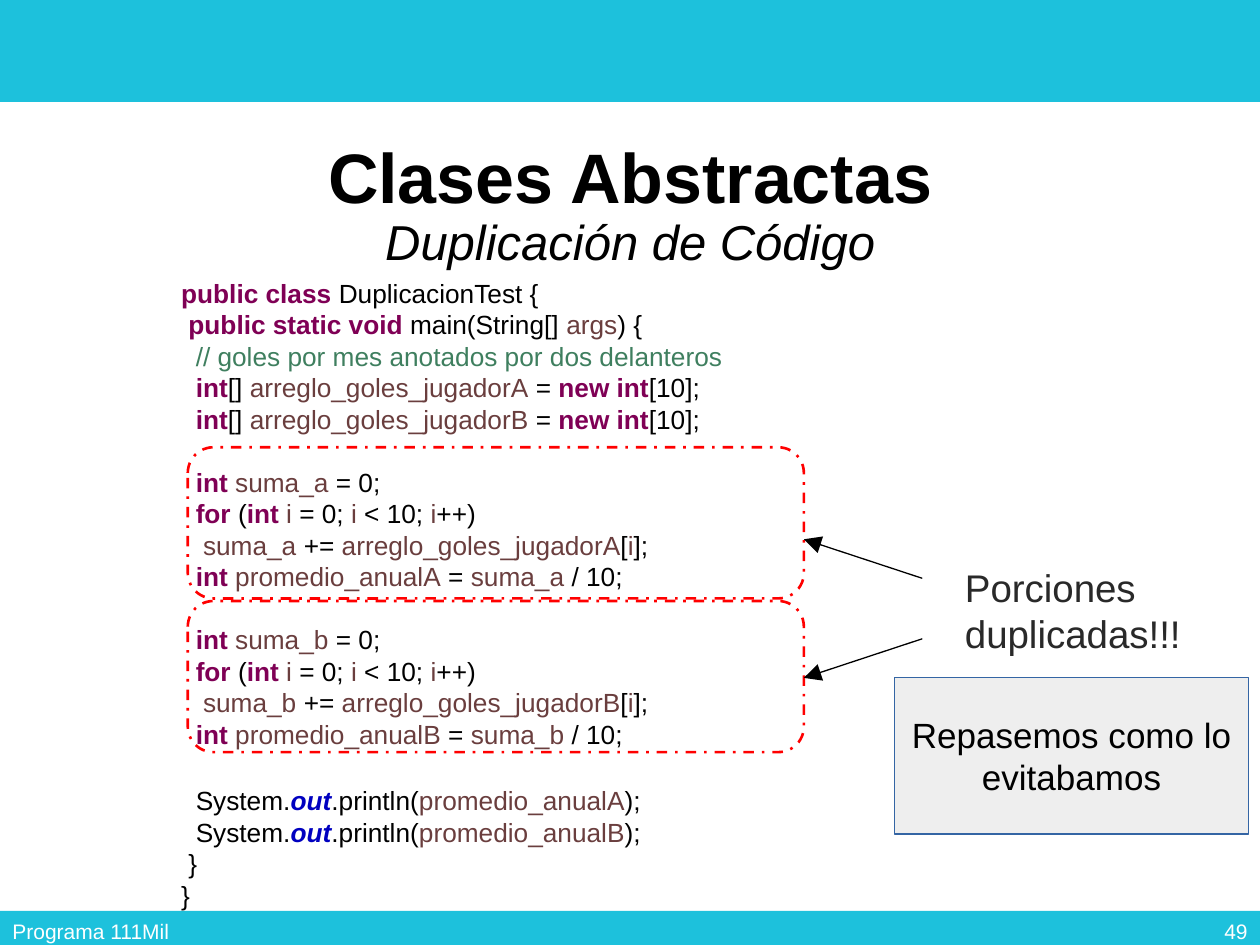
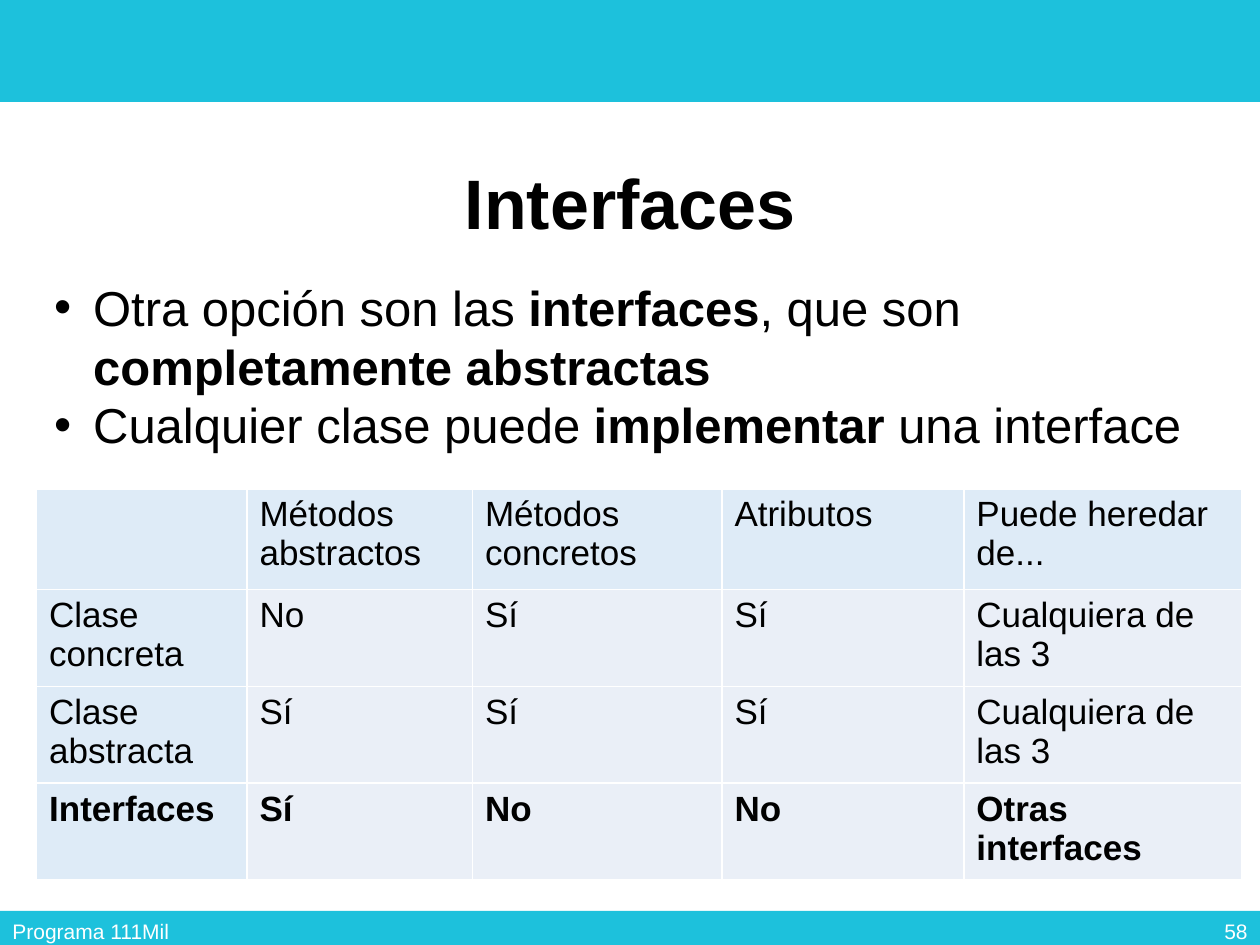
from lxml.etree import SubElement
from pptx import Presentation
from pptx.dml.color import RGBColor
from pptx.enum.dml import MSO_LINE
from pptx.enum.shapes import MSO_CONNECTOR, MSO_SHAPE
from pptx.enum.text import MSO_ANCHOR, MSO_AUTO_SIZE, PP_ALIGN
from pptx.oxml.ns import qn
from pptx.util import Inches, Pt

FONT = "Arial"
CYAN, WHITE, BLACK = "1DC1DC", "FFFFFF", "000000"
RED, GRAPHITE, LIGHT_GRAY, STEEL_BLUE = "FF0000", "292929", "EEEEEE", "3465A4"
HEADER_FILL, CELL_FILL = "DEEBF7", "EAEFF7"

CODE_STYLES = {
    "keyword": {"color": "7F0055", "bold": True},
    "name": {"color": "6A3E3E"},
    "comment": {"color": "3F7F5F"},
    "field": {"color": "0000C0", "bold": True, "italic": True},
    "plain": {"color": BLACK},
}
CODE_MARKS = {"$": "keyword", "@": "name", "#": "comment", "%": "field"}

CODE_OPENING = [
    "$public class |DuplicacionTest {",
    "$ public static void| main(String[] |@args|) {",
    "#  // goles por mes anotados por dos delanteros",
]
CODE_CLOSING = [" }", "}"]

TABLE_ROWS = [
    ["", "Métodos abstractos", "Métodos concretos", "Atributos", "Puede heredar de..."],
    ["Clase\nconcreta", "No", "Sí", "Sí", "Cualquiera de las 3"],
    ["Clase\nabstracta", "Sí", "Sí", "Sí", "Cualquiera de las 3"],
    ["Interfaces", "Sí", "No", "No", "Otras interfaces"],
]
COLUMN_WIDTHS = [1.67, 1.79, 1.98, 1.92, 2.21]
ROW_HEIGHTS = [0.8, 0.75, 0.75, 0.75]


def rgb(hex_color):
    return RGBColor.from_string(hex_color)


def add_span(para, text, size=20, color=BLACK, bold=False, italic=False):
    span = para.add_run()
    span.text = text
    span.font.name = FONT
    span.font.size = Pt(size)
    span.font.bold = bold
    span.font.italic = italic
    span.font.color.rgb = rgb(color)


def next_paragraph(frame, index):
    return frame.add_paragraph() if index else frame.paragraphs[0]


def place(shape, left, top, width, height):
    shape.left, shape.top = Inches(left), Inches(top)
    shape.width, shape.height = Inches(width), Inches(height)


def set_indent(para, left, first=0):
    properties = para._p.get_or_add_pPr()
    properties.set("marL", str(Inches(left)))
    properties.set("indent", str(Inches(first)))
    return properties


def add_box(page, left, top, width, height, anchor=MSO_ANCHOR.TOP):
    box = page.shapes.add_textbox(*map(Inches, (left, top, width, height)))
    box.text_frame.word_wrap = True
    box.text_frame.vertical_anchor = anchor
    return box.text_frame


def add_panel(page, left, top, width, height, fill=None, line=None,
              weight=0.75, kind=MSO_SHAPE.RECTANGLE):
    panel = page.shapes.add_shape(kind, *map(Inches, (left, top, width, height)))
    panel.shadow.inherit = False
    if fill:
        panel.fill.solid()
        panel.fill.fore_color.rgb = rgb(fill)
    else:
        panel.fill.background()
    if line:
        panel.line.color.rgb = rgb(line)
        panel.line.width = Pt(weight)
    else:
        panel.line.fill.background()
    return panel


def add_master_bands(deck, page):
    tree = deck.slide_master.element.cSld.spTree
    for number, (top, height) in enumerate([(0, 0.81), (7.23, 0.27)]):
        band = add_panel(page, 0, top, 10, height, fill=CYAN)
        band.name = f"Band {number + 1}"
        band.element.nvSpPr.cNvPr.set("id", str(100 + number))
        tree.insert(2 + number, band.element)


def add_title(page, title, subtitle=None):
    place(page.shapes.title, 0.69, 0.98, 8.62, 1.33)
    frame = page.shapes.title.text_frame
    frame.auto_size = MSO_AUTO_SIZE.NONE
    frame.vertical_anchor = MSO_ANCHOR.MIDDLE
    para = frame.paragraphs[0]
    para.alignment = PP_ALIGN.CENTER
    para.line_spacing = 0.9
    add_span(para, title, size=40, bold=True)
    if subtitle:
        para.add_line_break()
        add_span(para, subtitle, size=28, italic=True)


def add_footer(page, number):
    for text, left, width, alignment in [
        ("Programa 111Mil", 0, 3.38, PP_ALIGN.LEFT),
        (str(number), 7.75, 2.25, PP_ALIGN.RIGHT),
    ]:
        para = add_box(page, left, 7.19, width, 0.4, MSO_ANCHOR.MIDDLE).paragraphs[0]
        para.alignment = alignment
        add_span(para, text, size=12, color=WHITE)


def array_line(player):
    return f"$  int|[] |@arreglo_goles_jugador{player}| = |$new int|[10];"


def average_lines(player):
    total = f"suma_{player.lower()}"
    return [
        f"$  int |@{total}| = 0;",
        "$  for| (|$int |@i| = 0; |@i| < 10; |@i|++)",
        f"@   {total}| += |@arreglo_goles_jugador{player}|[|@i|];",
        f"$  int |@promedio_anual{player}| = |@{total}| / 10;",
    ]


def print_line(player):
    return f"  System.|%out|.println(|@promedio_anual{player}|);"


def add_code(page, sections):
    frame = add_box(page, 1.34, 2.15, 7.17, 5)
    index = 0
    for gap, lines in sections:
        for position, line in enumerate(lines):
            para = next_paragraph(frame, index)
            para.space_before = Pt(0 if position else gap)
            for piece in line.split("|"):
                style = CODE_MARKS.get(piece[0], "plain")
                text = piece if style == "plain" else piece[1:]
                add_span(para, text, size=15, **CODE_STYLES[style])
            index += 1


def add_arrow(page, start, end):
    arrow = page.shapes.add_connector(MSO_CONNECTOR.STRAIGHT, *map(Inches, start + end))
    arrow.line.color.rgb = rgb(BLACK)
    arrow.line.width = Pt(0.75)
    properties = arrow.element.spPr
    SubElement(properties.find(qn("a:ln")), qn("a:tailEnd"), type="triangle", w="lg", len="lg")
    SubElement(properties, qn("a:effectLst"))


def add_duplicate_frames(page):
    for top in (3.55, 4.77):
        outline = add_panel(page, 1.49, top, 4.89, 1.2, line=RED, weight=1.5,
                            kind=MSO_SHAPE.ROUNDED_RECTANGLE)
        outline.adjustments[0] = 0.17
        outline.line.dash_style = MSO_LINE.DASH_DOT
    add_arrow(page, (7.32, 4.59), (6.38, 4.28))
    add_arrow(page, (7.32, 5.07), (6.38, 5.38))


def add_callouts(page):
    para = add_box(page, 7.32, 4.43, 2.23, 0.84).paragraphs[0]
    set_indent(para, 0.24)
    add_span(para, "Porciones duplicadas!!!", size=22, color=GRAPHITE)

    review = add_panel(page, 7.1, 5.38, 2.81, 1.24, fill=LIGHT_GRAY, line=STEEL_BLUE)
    review.text_frame.word_wrap = True
    para = review.text_frame.paragraphs[0]
    para.alignment = PP_ALIGN.CENTER
    add_span(para, "Repasemos como lo evitabamos")


def add_bullets(page, bullets):
    body = page.placeholders[1]
    place(body, 0.33, 2.15, 9.44, 1.51)
    frame = body.text_frame
    frame.auto_size = MSO_AUTO_SIZE.NONE
    for index, spans in enumerate(bullets):
        para = next_paragraph(frame, index)
        SubElement(set_indent(para, 0.31, -0.31), qn("a:buChar"), char="•")
        para.space_before = Pt(0)
        for text, bold in spans:
            add_span(para, text, size=28, bold=bold)


def format_cell(cell, fill):
    properties = cell._tc.get_or_add_tcPr()
    for side in ("lnL", "lnR", "lnT", "lnB"):
        border = SubElement(properties, qn(f"a:{side}"), w=str(Pt(1)))
        SubElement(SubElement(border, qn("a:solidFill")), qn("a:srgbClr"), val=WHITE)
    cell.fill.solid()
    cell.fill.fore_color.rgb = rgb(fill)


def add_comparison_table(page):
    size = (sum(COLUMN_WIDTHS), sum(ROW_HEIGHTS))
    table = page.shapes.add_table(len(ROW_HEIGHTS), len(COLUMN_WIDTHS),
                                  *map(Inches, (0.29, 3.88) + size)).table
    for column, width in zip(table.columns, COLUMN_WIDTHS):
        column.width = Inches(width)
    for row, height in zip(table.rows, ROW_HEIGHTS):
        row.height = Inches(height)
    for row_index, texts in enumerate(TABLE_ROWS):
        for column_index, text in enumerate(texts):
            cell = table.cell(row_index, column_index)
            is_header = row_index == 0 or column_index == 0
            format_cell(cell, HEADER_FILL if is_header else CELL_FILL)
            if text:
                for index, line in enumerate(text.split("\n")):
                    para = next_paragraph(cell.text_frame, index)
                    add_span(para, line, bold=texts[0] == "Interfaces")


def build_duplication_page(deck):
    page = deck.slides.add_slide(deck.slide_layouts[5])
    add_master_bands(deck, page)
    add_title(page, "Clases Abstractas", "Duplicación de Código")
    add_footer(page, 49)
    add_code(page, [
        (0, CODE_OPENING + [array_line(player) for player in "AB"]),
        (18, average_lines("A")),
        (18, average_lines("B")),
        (20, [print_line(player) for player in "AB"] + CODE_CLOSING),
    ])
    add_duplicate_frames(page)
    add_callouts(page)


def build_interfaces_page(deck):
    page = deck.slides.add_slide(deck.slide_layouts[1])
    add_title(page, "Interfaces")
    add_footer(page, 58)
    add_comparison_table(page)
    add_bullets(page, [
        [("Otra opción son las ", False), ("interfaces", True),
         (", que son ", False), ("completamente abstractas", True)],
        [("Cualquier clase puede ", False), ("implementar", True),
         (" una interface", False)],
    ])


def main():
    deck = Presentation()
    deck.slide_width, deck.slide_height = Inches(10), Inches(7.5)
    build_duplication_page(deck)
    build_interfaces_page(deck)
    deck.save("out.pptx")


if __name__ == "__main__":
    main()
